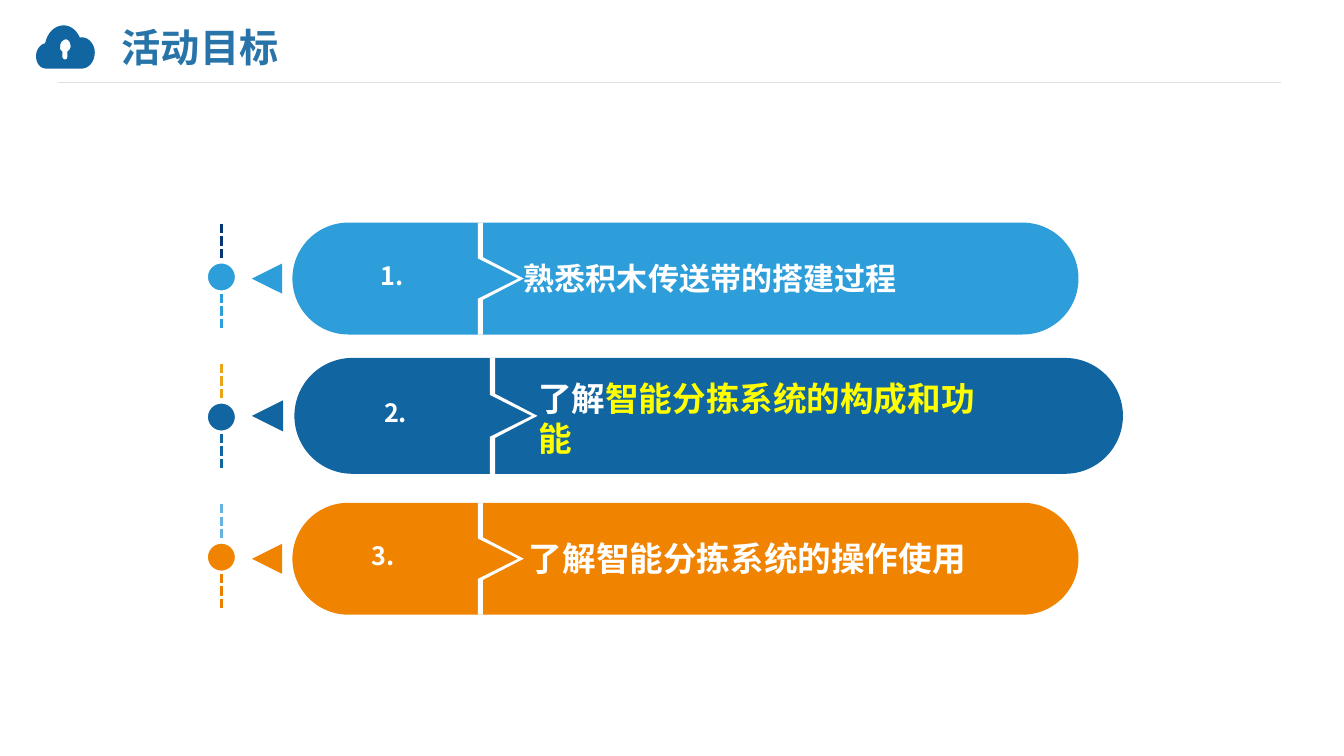
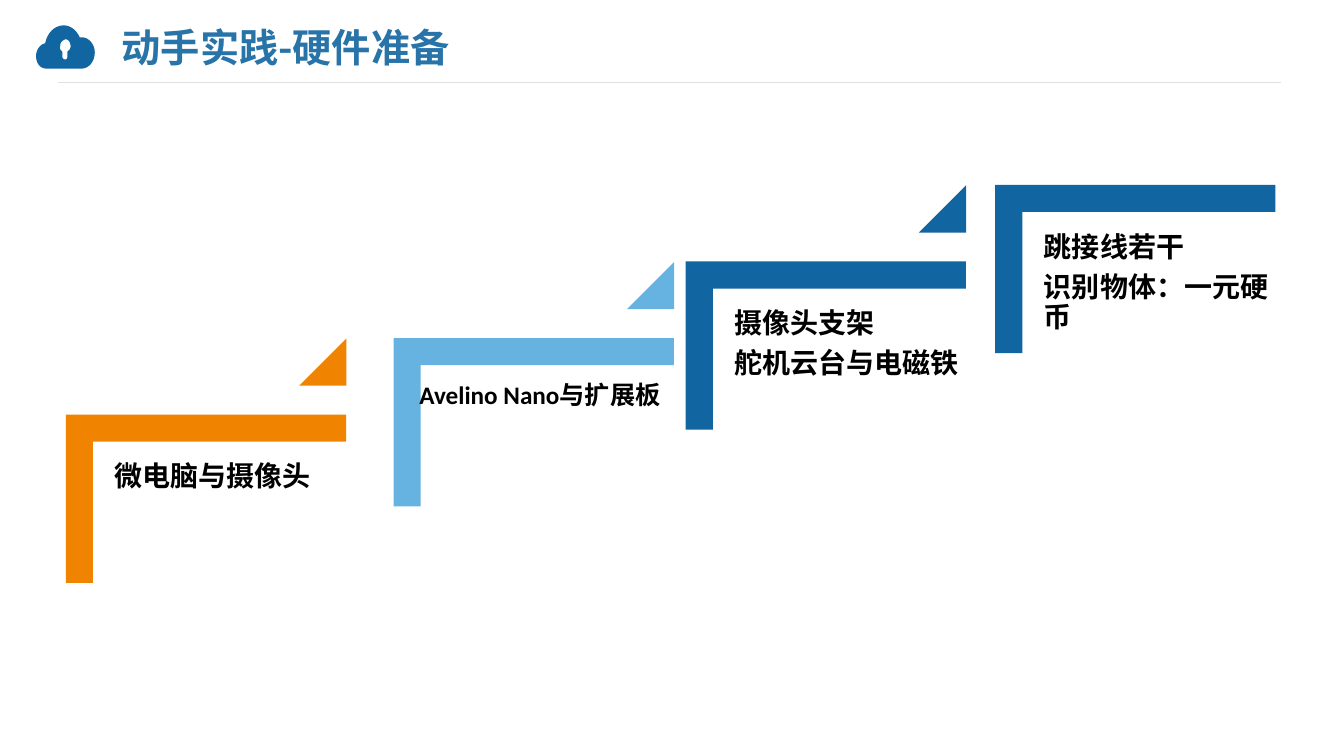
from dataclasses import dataclass
from lxml.etree import SubElement
from pptx import Presentation
from pptx.dml.color import RGBColor as Rgb
from pptx.enum.dml import MSO_LINE as Dash
from pptx.enum.shapes import MSO_CONNECTOR as Link, MSO_SHAPE as Kind
from pptx.enum.text import MSO_ANCHOR as Anchor, MSO_AUTO_SIZE as Fit, PP_ALIGN as Align
from pptx.oxml.ns import qn
from pptx.util import Cm, Pt


@dataclass(frozen=True)
class Theme:
    title: str = "2874A9"
    deep: str = "1165A0"
    navy: str = "053675"
    blue: str = "2E9EDA"
    sky: str = "66B3E1"
    orange: str = "F08300"
    rust: str = "EB8000"
    gold: str = "EBA417"
    yellow: str = "FFFF00"
    grey: str = "E0E0E0"
    white: str = "FFFFFF"
    black: str = "000000"
    head: str = "Noto Sans CJK SC"
    body: str = "Calibri"
    big: float = 28
    goal: float = 24
    tight: float = 22.2
    label: float = 20
    small: float = 18


T = Theme()


def paint(item, fill=None, line=None, width=0.75):
    if fill:
        item.fill.solid()
        item.fill.fore_color.rgb = Rgb.from_string(fill)
    if line:
        item.line.color.rgb = Rgb.from_string(line)
        item.line.width = Pt(width)
    else:
        item.line.fill.background()
    SubElement(item.element.spPr, qn("a:effectLst"))


def write(frame, lines, size, color, font=T.head, anchor=Anchor.MIDDLE,
          align=Align.LEFT, inset=(0, 0, 0, 0)):
    frame.word_wrap = True
    frame.auto_size = Fit.NONE
    frame.vertical_anchor = anchor
    (frame.margin_left, frame.margin_top,
     frame.margin_right, frame.margin_bottom) = [Cm(side) for side in inset]
    for num, line in enumerate(lines):
        para = frame.add_paragraph() if num else frame.paragraphs[0]
        para.text = line
        para.alignment = align
        para.font.size = Pt(size)
        para.font.bold = True
        para.font.color.rgb = Rgb.from_string(color)
        para.font.name = font
        props = para._p.pPr.find(qn("a:defRPr"))
        SubElement(props, qn("a:ea")).set("typeface", font)


deck = Presentation()
deck.slide_width, deck.slide_height = Cm(33.87), Cm(19.05)
layout = deck.slide_layouts[5]
holder = layout.placeholders[0]
holder.left, holder.top = Cm(3.07), Cm(0.51)
holder.width, holder.height = Cm(22.58), Cm(1.32)

goals, parts = [deck.slides.add_slide(layout) for _ in range(2)]
for slide, title in ((goals, "活动目标"), (parts, "动手实践-硬件准备")):
    write(slide.shapes.title.text_frame, [title], T.big, T.title)

cloud = [
    (2.01, 0.94),
    (1.93, 0.76, 1.78, 0.64, 1.6, 0.64),
    (1.37, 0.64, 1.19, 0.84, 1.14, 1.09),
    (1.02, 1.12, 0.91, 1.24, 0.91, 1.42),
    (0.91, 1.6, 1.02, 1.73, 1.17, 1.73),
    (2.06, 1.73),
    (2.24, 1.73, 2.39, 1.55, 2.39, 1.32),
    (2.39, 1.12, 2.24, 0.94, 2.06, 0.94),
]
keyhole = [
    (1.7, 1.3),
    (1.7, 1.42),
    (1.7, 1.47, 1.68, 1.5, 1.65, 1.5),
    (1.6, 1.5, 1.57, 1.47, 1.57, 1.42),
    (1.57, 1.3),
    (1.52, 1.27, 1.5, 1.22, 1.52, 1.14),
    (1.52, 1.07, 1.57, 1.02, 1.65, 0.99),
    (1.73, 0.99, 1.78, 1.07, 1.78, 1.17),
    (1.78, 1.22, 1.75, 1.27, 1.7, 1.3),
]
shapes = goals.shapes
pen = None
for outline in (cloud, keyhole):
    x, y = outline[0]
    if pen is None:
        pen = shapes.build_freeform(Cm(x), Cm(y))
    else:
        pen.move_to(Cm(x), Cm(y))
    dots = []
    for step in outline[1:]:
        if len(step) == 2:
            dots.append((Cm(step[0]), Cm(step[1])))
        else:
            a, b, c, d, e, f = step
            for k in range(1, 9):
                t = k / 8
                u = 1 - t
                mix = (u ** 3, 3 * u * u * t, 3 * u * t * t, t ** 3)
                dots.append(tuple(Cm(sum(m * v for m, v in zip(mix, axis)))
                                  for axis in ((x, a, c, e), (y, b, d, f))))
        x, y = step[-2:]
    pen.add_line_segments(dots, close=True)
icon = pen.convert_to_shape()
paint(icon, T.deep)
rule = shapes.add_connector(Link.STRAIGHT, Cm(32.28), Cm(2.08), Cm(1.47), Cm(2.08))
paint(rule, line=T.grey)
for item in (rule, icon):
    layout.shapes.element.append(item.element)

notch = [(0, 0), (0, 0.32), (0.36, 0.5), (0, 0.68), (0, 1),
         (0.045, 1), (0.045, 0.69), (0.41, 0.5), (0.045, 0.31), (0.045, 0)]
bars = [
    (T.blue, 7.37, 5.61, 19.81, 2.82, 9.88, 12.01, 7.01, T.tight,
     "熟悉积木传送带的搭建过程", ""),
    (T.deep, 7.42, 9.02, 20.88, 2.92, 9.97, 12.37, 10.54, T.goal,
     "了解", "智能分拣系统的构成和功能"),
    (T.orange, 7.37, 12.67, 19.81, 2.82, 9.66, 12.14, 14.06, T.goal,
     "了解智能分拣系统的操作使用", ""),
]
for num, bar in enumerate(bars, 1):
    color, left, top, wide, high, mid, start, level, size, text, accent = bar
    pill = shapes.add_shape(Kind.ROUNDED_RECTANGLE, Cm(left), Cm(top), Cm(wide), Cm(high))
    pill.adjustments[0] = 0.5
    paint(pill, color)

    edge = left + wide * 0.236
    dots = [(Cm(edge + x * high), Cm(top + y * high)) for x, y in notch]
    pen = shapes.build_freeform(*dots[0])
    pen.add_line_segments(dots[1:], close=True)
    paint(pen.convert_to_shape(), T.white)

    side = high * 0.27
    center = top + high / 2
    arrow = shapes.add_shape(Kind.ISOSCELES_TRIANGLE, Cm(6.35), Cm(center - side / 2),
                             Cm(side), Cm(side))
    arrow.rotation = 270
    paint(arrow, color)

    box = shapes.add_textbox(Cm(mid - 1.5), Cm(center - 0.51), Cm(3), Cm(0.86))
    write(box.text_frame, [f"{num}."], T.small, T.white, align=Align.CENTER)
    box = shapes.add_textbox(Cm(start), Cm(level - 1.27), Cm(13.5), Cm(2.54))
    write(box.text_frame, [text], size, T.white, inset=(1.19, 0, 1, 0))
    if accent:
        run = box.text_frame.paragraphs[0].add_run()
        run.text = accent
        run.font.color.rgb = Rgb.from_string(T.yellow)

marks = [(T.navy, T.blue, T.blue), (T.gold, T.deep, T.deep), (T.sky, T.orange, T.rust)]
for num, (upper, fill, lower) in enumerate(marks):
    top = 5.64 + num * 3.53
    for color, shift in ((upper, 0), (lower, 1.76)):
        dash = shapes.add_connector(Link.STRAIGHT, Cm(5.59), Cm(top + shift),
                                    Cm(5.59), Cm(top + shift + 0.92))
        dash.line.dash_style = Dash.SQUARE_DOT
        paint(dash, line=color, width=2.25)
    dot = shapes.add_shape(Kind.OVAL, Cm(5.2), Cm(top + 0.96), Cm(0.76), Cm(0.76))
    paint(dot, fill, T.white, 2.25)

shapes = parts.shapes
thick, span = 4.24, 7.06
turn = (span - thick) / 2
steps = [
    (T.orange, 1.66, 0.72, 0.7, 6.38, T.label, ["微电脑与摄像头"]),
    (T.sky, 9.92, 0.14, 0.62, 8.64, T.small, ["Avelino Nano与扩展板"]),
    (T.deep, 17.28, 0.72, 0.7, 6.38, T.label, ["摄像头支架", "舵机云台与电磁铁"]),
    (T.deep, 25.08, 0.72, 0.7, 6.38, T.label, ["跳接线若干", "识别物体：一元硬币"]),
]
for num, (color, left, dx, dy, wide, size, lines) in enumerate(steps):
    top = 10.45 - num * 1.93
    stair = shapes.add_shape(Kind.CORNER, Cm(left + turn), Cm(top - turn),
                             Cm(thick), Cm(span))
    stair.rotation = 90
    stair.adjustments[0] = stair.adjustments[1] = 0.161
    paint(stair, color)
    box = shapes.add_textbox(Cm(left + dx), Cm(top + dy), Cm(wide), Cm(5.59))
    write(box.text_frame, lines, size, T.black, T.body, Anchor.TOP,
          inset=(0.51, 0.51, 0, 0.2))
    for para in box.text_frame.paragraphs:
        para.line_spacing = 0.9
        para.space_after = Pt(size * 0.35)
    if num < len(steps) - 1:
        flag = shapes.add_shape(Kind.ISOSCELES_TRIANGLE, Cm(left + 5.88), Cm(top - 1.92),
                                Cm(1.19), Cm(1.19))
        flag.adjustments[0] = 1
        paint(flag, color)

deck.save("out.pptx")
